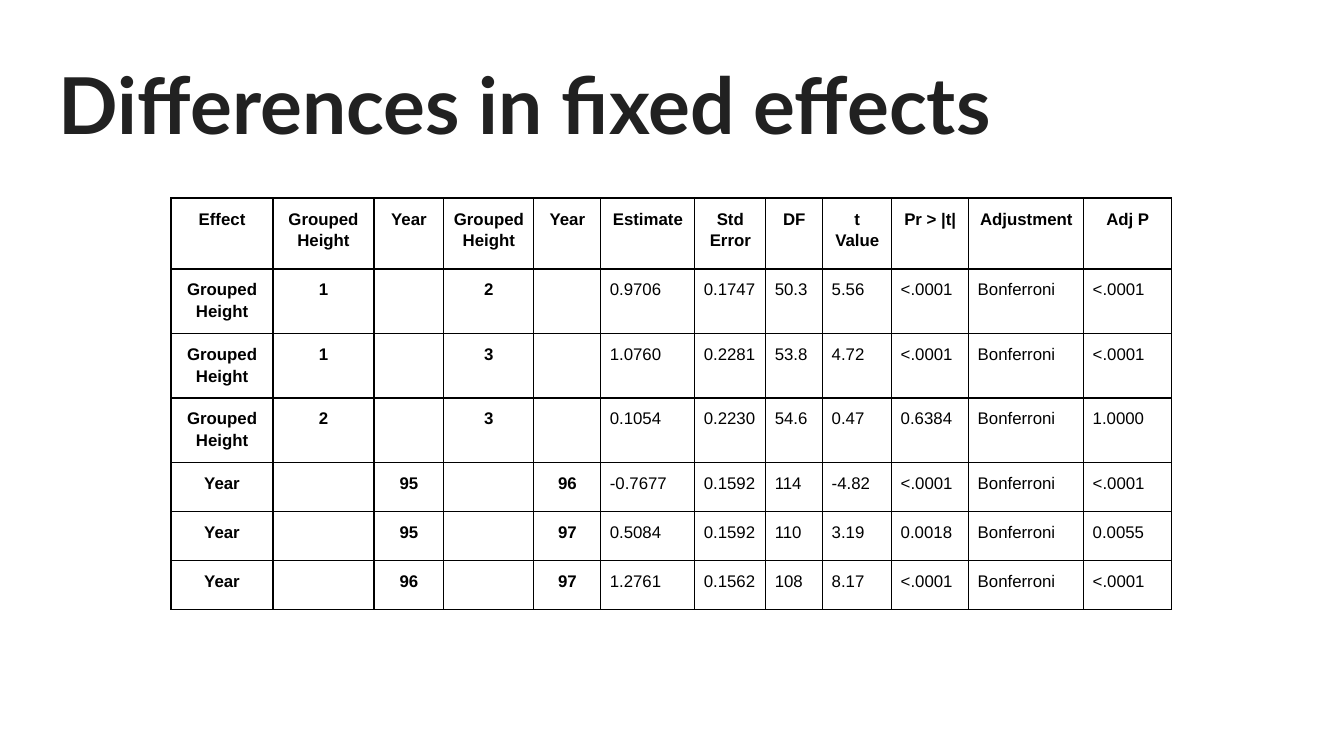
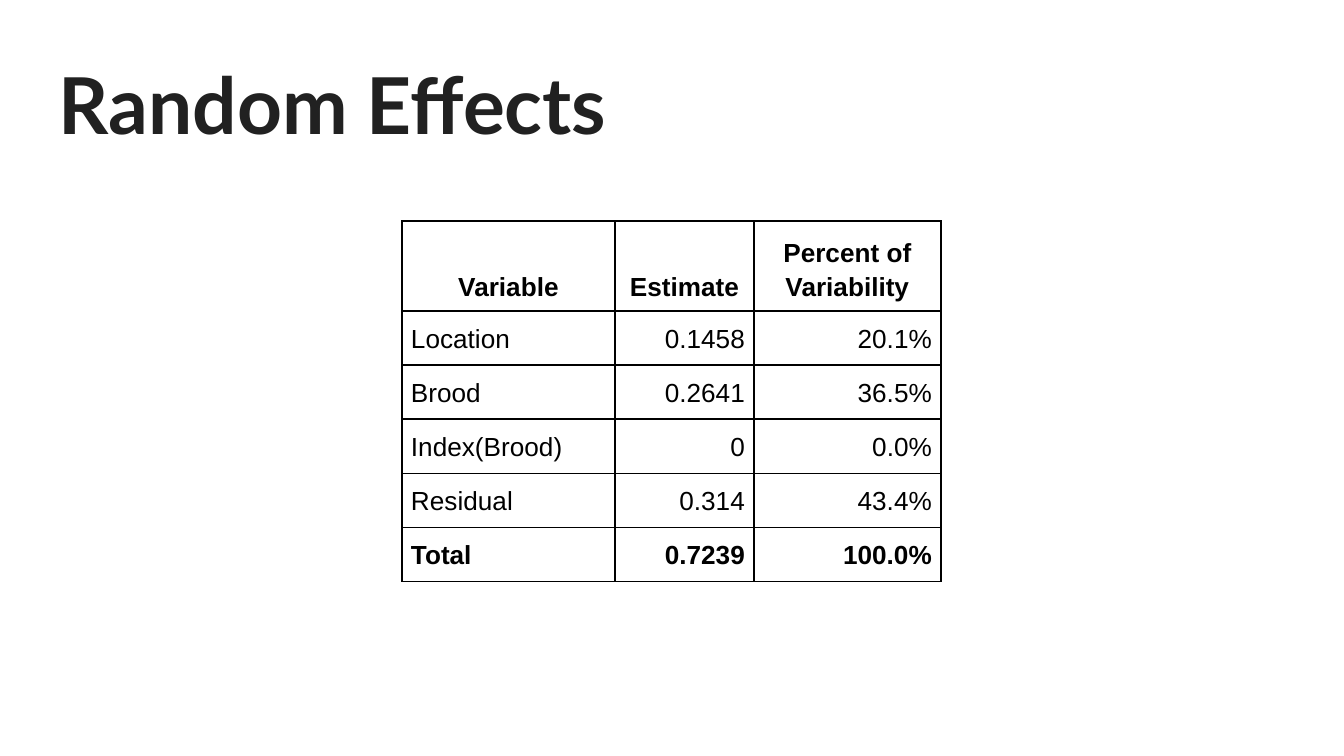
from lxml.etree import SubElement
from pptx import Presentation
from pptx.dml.color import RGBColor
from pptx.enum.text import MSO_ANCHOR, PP_ALIGN
from pptx.oxml.ns import qn
from pptx.util import Emu, Pt

EMU_PER_PX = 914400 / 134.4
INK = RGBColor(0x21, 0x21, 0x21)
BLACK = RGBColor(0x00, 0x00, 0x00)
WHITE = RGBColor(0xFF, 0xFF, 0xFF)
TITLE_FONT = "Lato"
TABLE_FONT = "Arial"
CELL_INSET = 9
ALIGN = {"l": PP_ALIGN.LEFT, "c": PP_ALIGN.CENTER, "r": PP_ALIGN.RIGHT}

FIXED_HEADER = ["Effect", "Grouped Height", "Year", "Grouped Height", "Year",
                "Estimate", "Std\nError", "DF", "t Value", "Pr > |t|",
                "Adjustment", "Adj P"]
FIXED_ROWS = [
    ["Grouped Height", "1", "", "2", "", "0.9706", "0.1747", "50.3", "5.56", "<.0001", "<.0001"],
    ["Grouped Height", "1", "", "3", "", "1.0760", "0.2281", "53.8", "4.72", "<.0001", "<.0001"],
    ["Grouped Height", "2", "", "3", "", "0.1054", "0.2230", "54.6", "0.47", "0.6384", "1.0000"],
    ["Year", "", "95", "", "96", "-0.7677", "0.1592", "114", "-4.82", "<.0001", "<.0001"],
    ["Year", "", "95", "", "97", "0.5084", "0.1592", "110", "3.19", "0.0018", "0.0055"],
    ["Year", "", "96", "", "97", "1.2761", "0.1562", "108", "8.17", "<.0001", "<.0001"],
]
RANDOM_ROWS = [
    ["Variable", "Estimate", "Percent of Variability"],
    ["Location", "0.1458", "20.1%"],
    ["Brood", "0.2641", "36.5%"],
    ["Index(Brood)", "0", "0.0%"],
    ["Residual", "0.314", "43.4%"],
    ["Total", "0.7239", "100.0%"],
]


def px(n):
    return Emu(round(n * EMU_PER_PX))


def style_run(r, font, size, color, bold):
    r.font.name = font
    r.font.size = Pt(size)
    r.font.color.rgb = color
    r.font.bold = bold


def add_titled_slide(prs, title):
    slide = prs.slides.add_slide(prs.slide_layouts[6])
    slide.background.fill.solid()
    slide.background.fill.fore_color.rgb = WHITE
    tf = slide.shapes.add_textbox(px(46), px(43), px(1252), px(118)).text_frame
    tf.word_wrap = True
    tf.margin_left = tf.margin_right = tf.margin_top = tf.margin_bottom = px(13)
    tf.text = title
    style_run(tf.paragraphs[0].runs[0], TITLE_FONT, 42, INK, True)
    return slide


def set_borders(cell, width):
    tcPr = cell._tc.get_or_add_tcPr()
    for i, side in enumerate(("lnL", "lnR", "lnT", "lnB")):
        ln = tcPr.makeelement(qn(f"a:{side}"), {"w": str(Pt(width))})
        fill = SubElement(ln, qn("a:solidFill"))
        SubElement(fill, qn("a:srgbClr"), val=str(BLACK))
        tcPr.insert(i, ln)


def fill_cell(cell, text, align, size, bold, border):
    cell.margin_left = cell.margin_right = px(CELL_INSET)
    cell.margin_top = cell.margin_bottom = px(CELL_INSET)
    cell.fill.background()
    set_borders(cell, border)
    tf = cell.text_frame
    tf.text = text
    for p in tf.paragraphs:
        p.alignment = ALIGN[align]
        p.line_spacing = 1.15
        for r in p.runs:
            style_run(r, TABLE_FONT, size, BLACK, bold)
        if not p.runs:
            SubElement(p._p, qn("a:endParaRPr"), sz=str(size * 100))


def add_grid(slide, left, top, widths, heights, rows, aligns, size, border,
             bold_rows, bold_cols=0, header_anchor=MSO_ANCHOR.TOP):
    frame = slide.shapes.add_table(len(rows), len(widths), px(left), px(top),
                                   px(sum(widths)), px(sum(heights)))
    table = frame.table
    table.first_row = table.horz_banding = False
    for column, width in zip(table.columns, widths):
        column.width = px(width)
    for i, (row, height, texts) in enumerate(zip(table.rows, heights, rows)):
        row.height = px(height)
        for j, (cell, text) in enumerate(zip(row.cells, texts)):
            align = aligns[j] if i else "c"
            bold = i in bold_rows or j < bold_cols
            fill_cell(cell, text, align, size, bold, border)
            cell.vertical_anchor = MSO_ANCHOR.TOP if i else header_anchor


def main():
    prs = Presentation()
    prs.slide_width, prs.slide_height = px(1344), px(756)

    slide = add_titled_slide(prs, "Differences in fixed effects")
    rows = [FIXED_HEADER] + [r[:-1] + ["Bonferroni", r[-1]] for r in FIXED_ROWS]
    add_grid(slide, 171, 198,
             [102, 101, 70, 90, 67, 94, 71, 57, 69, 77, 115, 88],
             [71] + [63] * 3 + [49] * 3, rows, "c" * 5 + "l" * 7,
             size=9, border=0.75, bold_rows={0}, bold_cols=5)

    slide = add_titled_slide(prs, "Random Effects")
    add_grid(slide, 402, 221, [213, 139, 187], [86] + [52] * 5, RANDOM_ROWS,
             "lrr", size=14, border=1, bold_rows={0, len(RANDOM_ROWS) - 1},
             header_anchor=MSO_ANCHOR.BOTTOM)

    prs.save("out.pptx")


if __name__ == "__main__":
    main()
